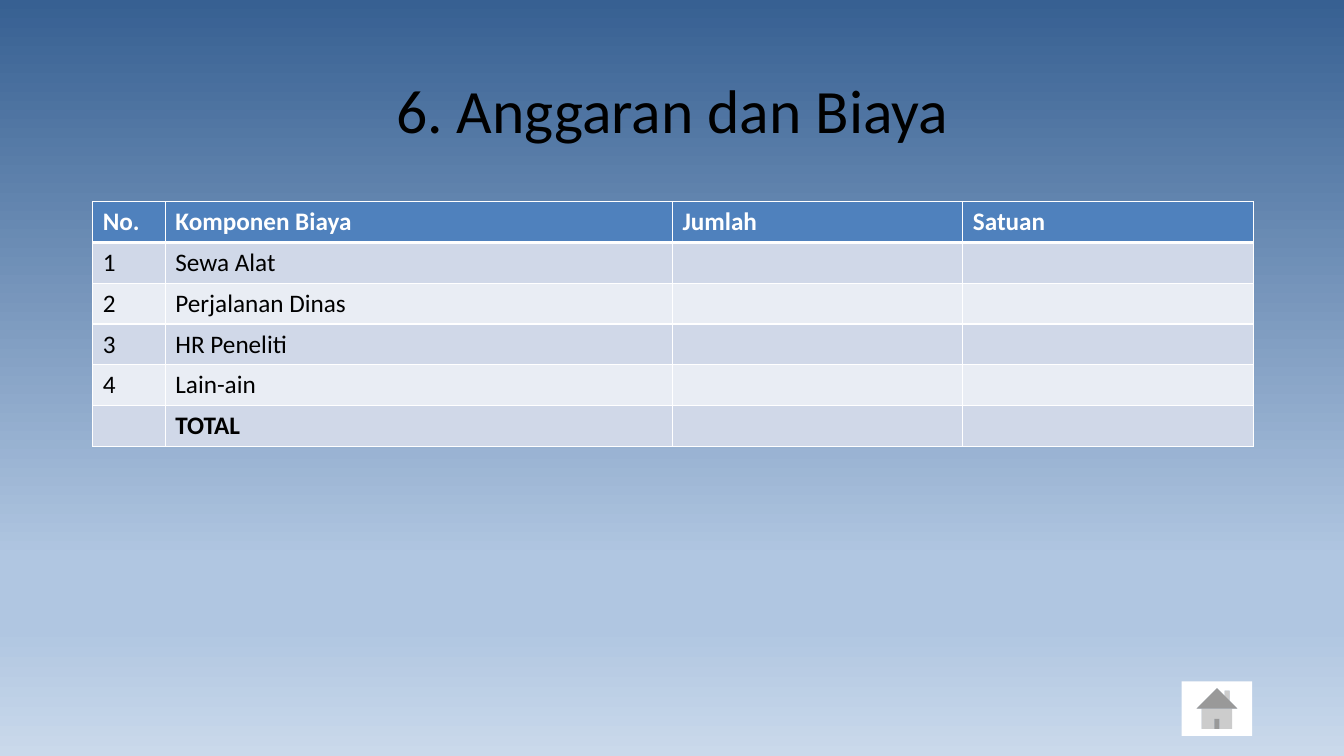
from dataclasses import dataclass

from lxml import etree
from pptx import Presentation
from pptx import util as u
from pptx.dml.color import RGBColor
from pptx.enum import shapes, text
from pptx.oxml import ns


@dataclass
class Theme:
    font: str = "Calibri"
    title_size: int = 44
    table_size: int = 18
    ink: str = "000000"
    white: str = "FFFFFF"
    header: str = "4F81BD"
    bands: tuple = ("D0D8E8", "E9EDF4")
    sky: tuple = ((0, "376092"), (74, "B0C6E1"), (83, "B0C6E1"), (100, "CAD9EB"))


theme = Theme()


def write(frame, words, size=theme.table_size, color=theme.ink, bold=False,
          align=text.PP_ALIGN.LEFT, spacing=None):
    paragraph = frame.paragraphs[0]
    paragraph.alignment = align
    paragraph.line_spacing = spacing
    paragraph.font.size = u.Pt(size)
    if words:
        run = paragraph.add_run()
        run.text = words
        run.font.name = theme.font
        run.font.size = u.Pt(size)
        run.font.bold = bold
        run.font.color.rgb = RGBColor.from_string(color)


def add_color(parent, color):
    etree.SubElement(parent, ns.qn("a:srgbClr"), val=color)


deck = Presentation()
deck.slide_width, deck.slide_height = u.Inches(13.33), u.Inches(7.5)
slide = deck.slides.add_slide(deck.slide_layouts[6])

# Background: vertical gradient from dark to light blue
sky = slide.background.fill
sky.gradient()
sky.gradient_angle = 270
stops = slide.background._cSld.find(".//" + ns.qn("a:gsLst"))
for stop in list(stops):
    stops.remove(stop)
for percent, color in theme.sky:
    add_color(etree.SubElement(stops, ns.qn("a:gs"), pos=str(percent * 1000)), color)

# Title
title = slide.shapes.add_textbox(u.Inches(0.92), u.Inches(0.4), u.Inches(11.5), u.Inches(1.45))
title.text_frame.word_wrap = True
title.text_frame.vertical_anchor = text.MSO_ANCHOR.MIDDLE
write(title.text_frame, "6. Anggaran dan Biaya", size=theme.title_size,
      align=text.PP_ALIGN.CENTER, spacing=0.9)

# Budget table
budget = [
    ("No.", "Komponen Biaya", "Jumlah", "Satuan"),
    ("1", "Sewa Alat", "", ""),
    ("2", "Perjalanan Dinas", "", ""),
    ("3", "HR Peneliti", "", ""),
    ("4", "Lain-ain", "", ""),
    ("", "TOTAL", "", ""),
]
column_widths = (0.72, 5.03, 2.88, 2.88)
table = slide.shapes.add_table(len(budget), len(column_widths), u.Inches(0.92), u.Inches(2),
                               u.Inches(11.5), u.Inches(2.43)).table
for column, width in zip(table.columns, column_widths):
    column.width = u.Inches(width)

for row_index, entries in enumerate(budget):
    is_header = row_index == 0
    is_total = row_index == len(budget) - 1
    fill = theme.header if is_header else theme.bands[(row_index - 1) % 2]
    border_widths = {"L": 1, "R": 1, "T": 3 if row_index == 1 else 1, "B": 3 if is_header else 1}
    for column_index, entry in enumerate(entries):
        cell = table.cell(row_index, column_index)
        write(cell.text_frame, entry, color=theme.white if is_header else theme.ink,
              bold=is_header or is_total)
        properties = cell._tc.get_or_add_tcPr()
        for side, points in border_widths.items():
            border = etree.SubElement(properties, ns.qn(f"a:ln{side}"), w=str(u.Pt(points)))
            add_color(etree.SubElement(border, ns.qn("a:solidFill")), theme.white)
        cell.fill.solid()
        cell.fill.fore_color.rgb = RGBColor.from_string(fill)

# Home button
home = slide.shapes.add_shape(shapes.MSO_SHAPE.ACTION_BUTTON_HOME, u.Inches(11.72),
                              u.Inches(6.76), u.Inches(0.7), u.Inches(0.54))
home.shadow.inherit = False
home.fill.solid()
home.fill.fore_color.rgb = RGBColor.from_string(theme.white)
home.line.fill.background()

deck.save("out.pptx")
